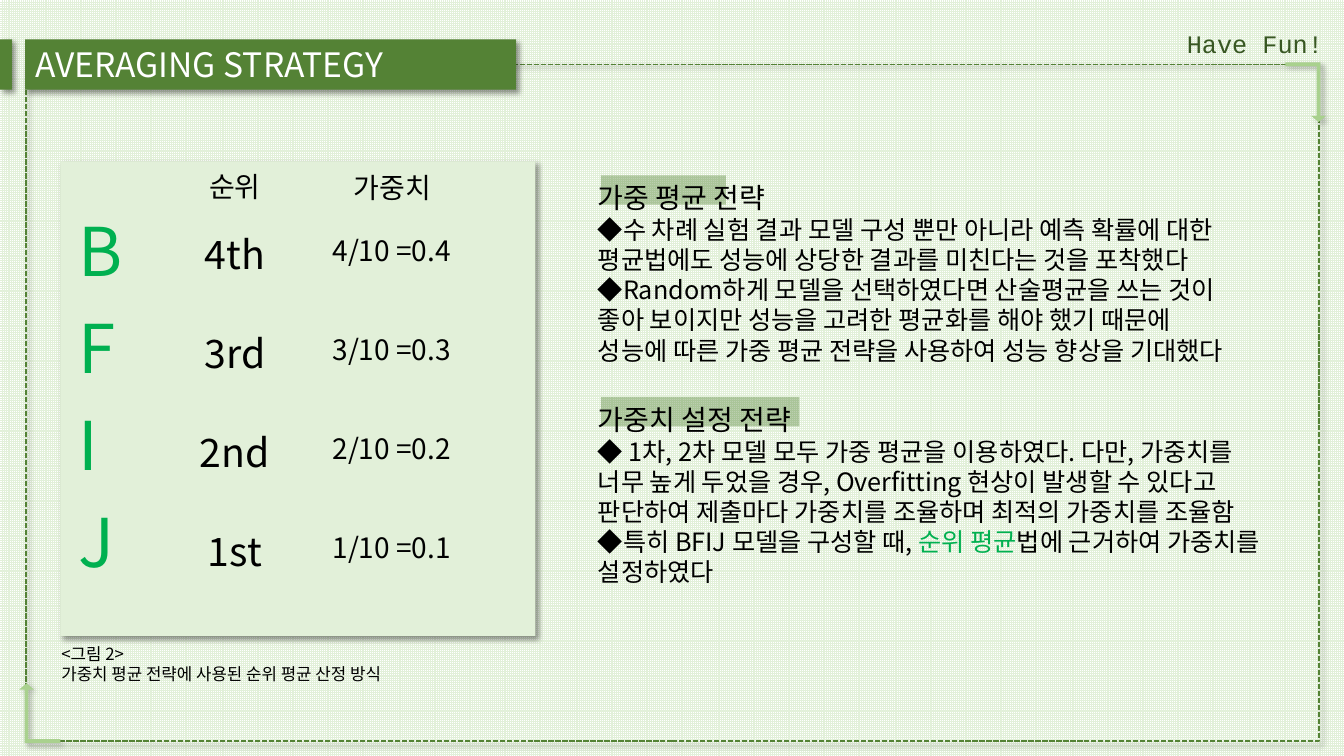
import pptx
import pptx.dml.color
import pptx.enum.dml
import pptx.enum.shapes
import pptx.enum.text
import pptx.oxml
import pptx.oxml.ns
import pptx.util

PX = 9144  # 100 px to the inch
RGB = pptx.dml.color.RGBColor
WHITE = RGB(0xFF, 0xFF, 0xFF)
BLACK = RGB(0x00, 0x00, 0x00)
PALE = RGB(0xE2, 0xF0, 0xD9)
LEAF = RGB(0xA9, 0xD1, 0x8E)
GREEN = RGB(0x54, 0x82, 0x35)
DARK = RGB(0x38, 0x57, 0x23)
BRIGHT = RGB(0x00, 0xB0, 0x50)
SANS = "Noto Sans CJK KR"
MONO = "Courier New"
SHAPE = pptx.enum.shapes.MSO_SHAPE
ALIGN = pptx.enum.text.PP_ALIGN
LEFT, CENTER, RIGHT = ALIGN.LEFT, ALIGN.CENTER, ALIGN.RIGHT
NAMESPACE = pptx.oxml.ns.nsdecls("a")


def decorate(shape, fill=None, shadow=None):
    """Fill a shape, drop its line, and cast a shadow of the given opacity in percent."""
    if fill is None:
        shape.fill.background()
    else:
        shape.fill.solid()
        shape.fill.fore_color.rgb = fill
    shape.line.fill.background()
    shape.shadow.inherit = False
    if shadow:
        effects = shape._element.spPr.find(pptx.oxml.ns.qn("a:effectLst"))
        effects.append(pptx.oxml.parse_xml(
            f'<a:outerShdw {NAMESPACE} blurRad="50800" dist="38100" dir="2700000" algn="tl" '
            f'rotWithShape="0"><a:srgbClr val="000000"><a:alpha val="{shadow * 1000}"/>'
            '</a:srgbClr></a:outerShdw>'))


def write(box, lines, color=BLACK, align=LEFT, font=SANS):
    """Write (text, size) lines; a text given as a list holds (words, color) spans."""
    frame = box.text_frame
    frame.word_wrap = True
    frame.auto_size = pptx.enum.text.MSO_AUTO_SIZE.NONE
    frame.vertical_anchor = pptx.enum.text.MSO_ANCHOR.TOP
    for number, (text, size) in enumerate(lines):
        para = frame.paragraphs[0] if number == 0 else frame.add_paragraph()
        para.alignment = align
        para.space_before = pptx.util.Pt(0)
        para.font.name = font
        para.font.size = pptx.util.Pt(size)
        para.font.color.rgb = color
        properties = para._p.get_or_add_pPr()
        properties.set("marL", "0")
        properties.set("indent", "0")
        defaults = properties.find(pptx.oxml.ns.qn("a:defRPr"))
        defaults.append(pptx.oxml.parse_xml(f'<a:ea {NAMESPACE} typeface="{font}"/>'))
        defaults.addprevious(pptx.oxml.parse_xml(f"<a:buNone {NAMESPACE}/>"))
        for words, tint in [(text, None)] if isinstance(text, str) else text:
            span = para.add_run()
            span.text = words
            if tint is not None:
                span.font.color.rgb = tint


deck = pptx.Presentation()
deck.slide_width, deck.slide_height = 1333 * PX, 750 * PX
page = deck.slides.add_slide(deck.slide_layouts.get_by_name("Two Content"))
shapes = page.shapes
title, *bodies = page.placeholders

backdrop = page.background.fill
backdrop.patterned()
backdrop.pattern = pptx.enum.dml.MSO_PATTERN.SMALL_GRID
backdrop.fore_color.rgb = PALE
backdrop.back_color.rgb = WHITE

# Panel, dashed frame and title band
panel = shapes.add_shape(SHAPE.RECTANGLE, 60 * PX, 160 * PX, 471 * PX, 471 * PX)
decorate(panel, PALE, 40)

frame_outline = shapes.add_shape(SHAPE.RECTANGLE, 26 * PX, 64 * PX, 1282 * PX, 671 * PX)
decorate(frame_outline, shadow=40)
frame_outline.line.color.rgb = GREEN
frame_outline.line.width = pptx.util.Pt(1.25)
frame_outline.line.dash_style = pptx.enum.dml.MSO_LINE.SQUARE_DOT

shapes._spTree.append(title._element)
title.left, title.top, title.width, title.height = 25 * PX, 39 * PX, 487 * PX, 50 * PX
title_tab = shapes.add_shape(SHAPE.RECTANGLE, 0, 39 * PX, 12 * PX, 50 * PX)
for band in (title, title_tab):
    decorate(band, GREEN, 40)
write(title, [("AVERAGING STRATEGY", 24)], WHITE)

# Corner arrows
for left, top, width, turn in ((1275, 62, 40, 180), (19, 678, 41, 0)):
    arrow = shapes.add_shape(SHAPE.BENT_UP_ARROW, left * PX, top * PX, width * PX, 59 * PX)
    decorate(arrow, LEAF, 20)
    arrow.rotation = turn
    arrow._element.spPr.xfrm.set("flipH", "1")
    for index, ratio in enumerate((0.09, 0.18, 0.15)):
        arrow.adjustments[index] = ratio

motto = shapes.add_textbox(1068 * PX, 23 * PX, 254 * PX, 40 * PX)
write(motto, [("Have Fun!", 18)], DARK, RIGHT, MONO)

# Strategy texts, each with a highlighted heading
strategies = (
    (174, 660, 124, "가중 평균 전략", (
        "◆수 차례 실험 결과 모델 구성 뿐만 아니라 예측 확률에 대한 "
        "평균법에도 성능에 상당한 결과를 미친다는 것을 포착했다",
        "◆Random하게 모델을 선택하였다면 산술평균을 쓰는 것이",
        "좋아 보이지만 성능을 고려한 평균화를 해야 했기 때문에",
        "성능에 따른 가중 평균 전략을 사용하여 성능 향상을 기대했다")),
    (394, 708, 197, "가중치 설정 전략", (
        "◆ 1차, 2차 모델 모두 가중 평균을 이용하였다. 다만, 가중치를",
        "너무 높게 두었을 경우, Overfitting 현상이 발생할 수 있다고",
        "판단하여 제출마다 가중치를 조율하며 최적의 가중치를 조율함",
        [("◆특히 BFIJ 모델을 구성할 때, ", None), ("순위 평균", BRIGHT),
         ("법에 근거하여 가중치를 설정하였다", None)])),
)
for body, (top, width, mark_width, heading, points) in zip(bodies, strategies):
    marker = shapes.add_shape(SHAPE.RECTANGLE, 596 * PX, top * PX, mark_width * PX, 29 * PX)
    decorate(marker, GREEN)
    tint = marker._element.spPr.find(".//" + pptx.oxml.ns.qn("a:srgbClr"))
    tint.append(pptx.oxml.parse_xml(f'<a:alpha {NAMESPACE} val="39000"/>'))
    shapes._spTree.append(body._element)
    body.left, body.top, body.width, body.height = 583 * PX, top * PX, width * PX, 195 * PX
    write(body, [(heading, 20)] + [(point, 18) for point in points])

# Ranking: left, top, width, height, row step, size, color, alignment, entries
columns = (
    (68, 203, 71, 91, 96, 48, BRIGHT, LEFT, ("B", "F", "I", "J")),
    (173, 224, 120, 57, 98, 28, BLACK, CENTER, ("4th", "3rd", "2nd", "1st")),
    (301, 227, 175, 44, 98, 20, BLACK, CENTER,
     ("4/10 =0.4", "3/10 =0.3", "2/10 =0.2", "1/10 =0.1")),
    (173, 163, 120, 44, 0, 20, BLACK, CENTER, ("순위",)),
    (329, 164, 120, 44, 0, 20, BLACK, CENTER, ("가중치",)),
)
for left, top, width, height, step, size, color, align, entries in columns:
    for row, entry in enumerate(entries):
        box = shapes.add_textbox(left * PX, (top + row * step) * PX, width * PX, height * PX)
        write(box, [(entry, size)], color, align)

caption = shapes.add_textbox(51 * PX, 634 * PX, 668 * PX, 50 * PX)
write(caption, [("<그림 2>", 12), ("가중치 평균 전략에 사용된 순위 평균 산정 방식", 12)])

deck.save("out.pptx")
